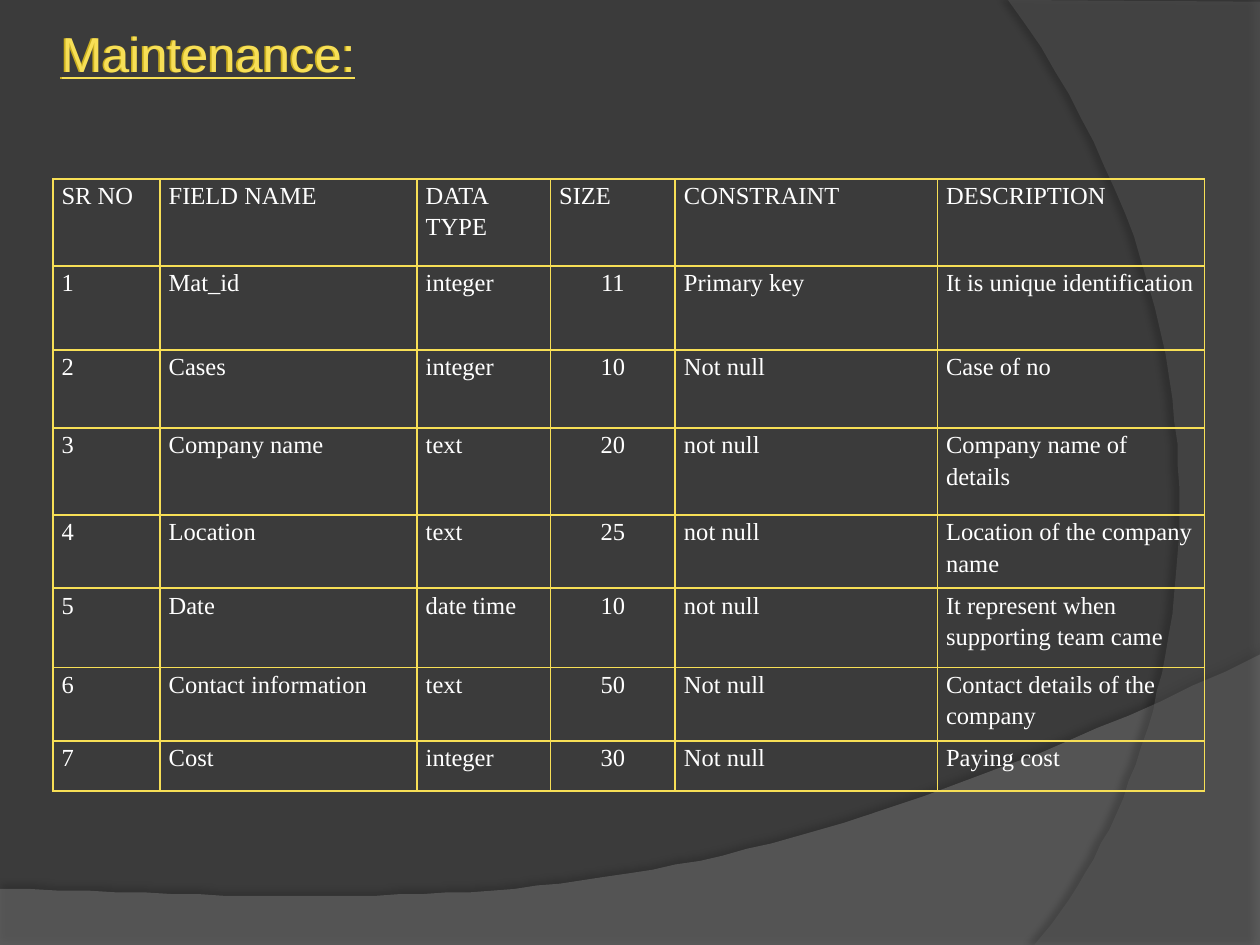
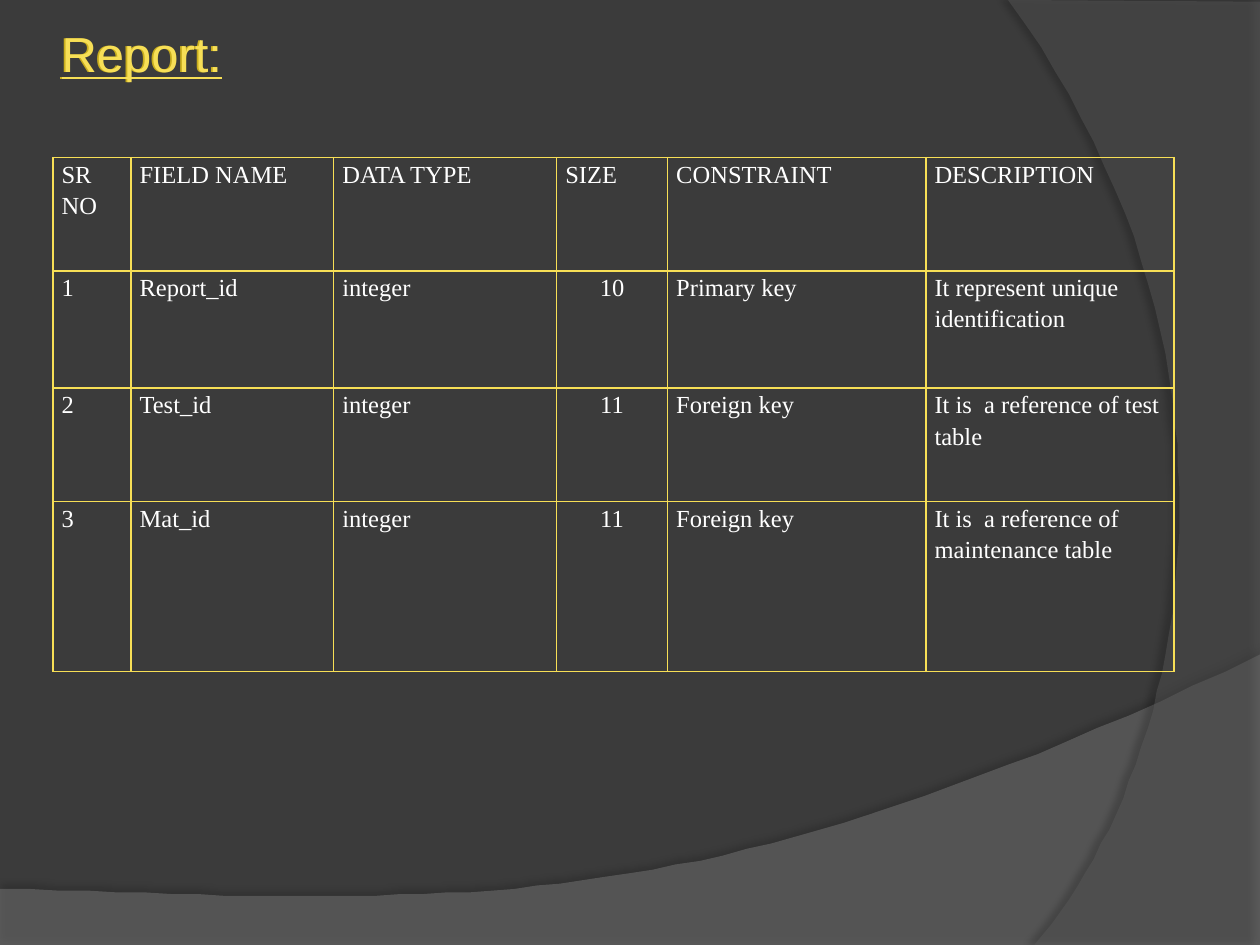
from pptx import Presentation
from pptx.dml.color import RGBColor
from pptx.enum.text import MSO_AUTO_SIZE, PP_ALIGN
from pptx.oxml.ns import qn
from pptx.util import Pt
from lxml.etree import SubElement

GOLD, WHITE, DARK = "F7DF56", "FFFFFF", "3B3B3B"
WIDE, HIGH = 720, 540
HEAD = ["SR NO", "FIELD NAME", "DATA TYPE", "SIZE", "CONSTRAINT", "DESCRIPTION"]
TITLE = {"name": "Arial", "size": Pt(28), "underline": True}
BODY = {"name": "Times New Roman", "size": Pt(14)}
INSET = {"margin_left": Pt(5), "margin_right": Pt(5),
         "margin_top": 0, "margin_bottom": 0}
PLAIN = {"first_row": False, "horz_banding": False}

PAGES = [
    {
        "title": "Maintenance:",
        "box": (30.2, 102.2),
        "cols": [61.2, 146.9, 76.3, 71.3, 149.8, 152.6],
        "rows": [49.7, 48.2, 44.6, 49.7, 41.8, 45.4, 41.8, 28.8],
        "data": [
            ["Mat_id", "integer", "11", "Primary key", "It is unique identification"],
            ["Cases", "integer", "10", "Not null", "Case of no"],
            ["Company name", "text", "20", "not null", "Company name of details"],
            ["Location", "text", "25", "not null", "Location of the company name"],
            ["Date", "date time", "10", "not null",
             "It represent when supporting team came"],
            ["Contact information", "text", "50", "Not null",
             "Contact details of the company"],
            ["Cost", "integer", "30", "Not null", "Paying cost"],
        ],
    },
    {
        "title": "Report:",
        "box": (30.2, 90),
        "cols": [44.6, 115.9, 127.4, 63.4, 147.6, 141.8],
        "rows": [64.8, 67, 64.8, 97.2],
        "data": [
            ["Report_id", "integer", "10", "Primary key",
             "It represent unique identification"],
            ["Test_id", "integer", "11", "Foreign key",
             "It is  a reference of test table"],
            ["Mat_id", "integer", "11", "Foreign key",
             "It is  a reference of maintenance table"],
        ],
    },
]


def color(code):
    return RGBColor.from_string(code)


def apply(thing, values):
    for key, value in values.items():
        setattr(thing, key, value)


def ink(font, code, values):
    apply(font, values)
    font.color.rgb = color(code)


def fade(node, part):
    SubElement(node, qn("a:alpha"), val=str(part * 1000))


def shade(shape, code, part, blur, dist, angle):
    shape.shadow.inherit = False
    effects = shape._element.spPr.find(qn("a:effectLst"))
    outer = SubElement(effects, qn("a:outerShdw"), blurRad=str(Pt(blur)),
                       dist=str(Pt(dist)), dir=str(angle * 60000),
                       algn="ctr", rotWithShape="0")
    fade(SubElement(outer, qn("a:srgbClr"), val=code), part)


def curve(a, b, c, d, steps=48):
    def point(t):
        u = 1 - t
        return tuple(u**3 * p + 3 * u * u * t * q + 3 * u * t * t * r + t**3 * s
                     for p, q, r, s in zip(a, b, c, d))
    return [point(i / steps) for i in range(steps + 1)]


def outline(slide, box, points, code, part):
    left, top = box
    spots = [(left + x, top + y) for x, y in points]
    maker = slide.shapes.build_freeform(*spots[0], scale=Pt(1))
    maker.add_line_segments(spots[1:], close=True)
    shape = maker.convert_to_shape()
    shape.fill.solid()
    shape.fill.fore_color.rgb = color(code)
    fade(shape._element.spPr.find(qn("a:solidFill"))[0], part)
    shape.line.fill.background()
    return shape


def wave(slide, box):
    left, top, width, height = box
    edge = curve((width, 0), (402.5, 150.5), (281.5, 143.3), (0, 133.2))
    shape = outline(slide, (left, top), edge + [(0, height), (width, height)],
                    "7F7F7F", 45)
    shade(shape, "000000", 35, 4, 3.5, 270)


def side(slide, box):
    left, top, width, height = box
    edge = curve((15.1, height), (97.2, 445.7), (157, 216), (0, 0))
    shape = outline(slide, (left, top), edge + [(width, 1.4), (width, height)],
                    "5E5E5E", 40)
    shade(shape, "000000", 45, 4, 4, 180)


def title(slide, box, text):
    shape = slide.shapes.add_textbox(*map(Pt, box))
    frame = shape.text_frame
    apply(frame, {"word_wrap": True, "auto_size": MSO_AUTO_SIZE.SHAPE_TO_FIT_TEXT})
    line = frame.paragraphs[0]
    line.alignment = PP_ALIGN.JUSTIFY
    run = line.add_run()
    run.text = text
    ink(run.font, GOLD, TITLE)
    shade(shape, "C9AE1E", 100, 0, 1, 180)


def border(cell):
    props = cell._tc.get_or_add_tcPr()
    for i, name in enumerate(("a:lnL", "a:lnR", "a:lnT", "a:lnB")):
        line = SubElement(props, qn(name), w=str(Pt(1)))
        fill = SubElement(line, qn("a:solidFill"))
        SubElement(fill, qn("a:srgbClr"), val=GOLD)
        props.insert(i, line)


def fill_cell(cell, text, center):
    apply(cell, INSET)
    cell.fill.background()
    border(cell)
    line = cell.text_frame.paragraphs[0]
    line.line_spacing = 1.15
    if center:
        line.alignment = PP_ALIGN.CENTER
    run = line.add_run()
    run.text = text
    ink(run.font, WHITE, BODY)


def grid(slide, box, cols, rows, data):
    size = sum(cols), sum(rows)
    table = slide.shapes.add_table(len(rows), len(cols),
                                   *map(Pt, (*box, *size))).table
    apply(table, PLAIN)
    for col, width in zip(table.columns, cols):
        col.width = Pt(width)
    for row, height in zip(table.rows, rows):
        row.height = Pt(height)
    lines = [HEAD] + [[str(i), *rest] for i, rest in enumerate(data, 1)]
    for r, texts in enumerate(lines):
        for c, text in enumerate(texts):
            fill_cell(table.cell(r, c), text, r > 0 and HEAD[c] == "SIZE")


def page(deck, facts):
    slide = deck.slides.add_slide(deck.slide_layouts[6])
    back = slide.background.fill
    back.solid()
    back.fore_color.rgb = color(DARK)
    wave(slide, (0, 374.4, WIDE, HIGH - 374.4))
    side(slide, (576, 0, WIDE - 576, HIGH))
    title(slide, (28.1, 10.1, 376.6, 41), facts["title"])
    grid(slide, facts["box"], facts["cols"], facts["rows"], facts["data"])


def main():
    deck = Presentation()
    apply(deck, {"slide_width": Pt(WIDE), "slide_height": Pt(HIGH)})
    for facts in PAGES:
        page(deck, facts)
    deck.save("out.pptx")


if __name__ == "__main__":
    main()
